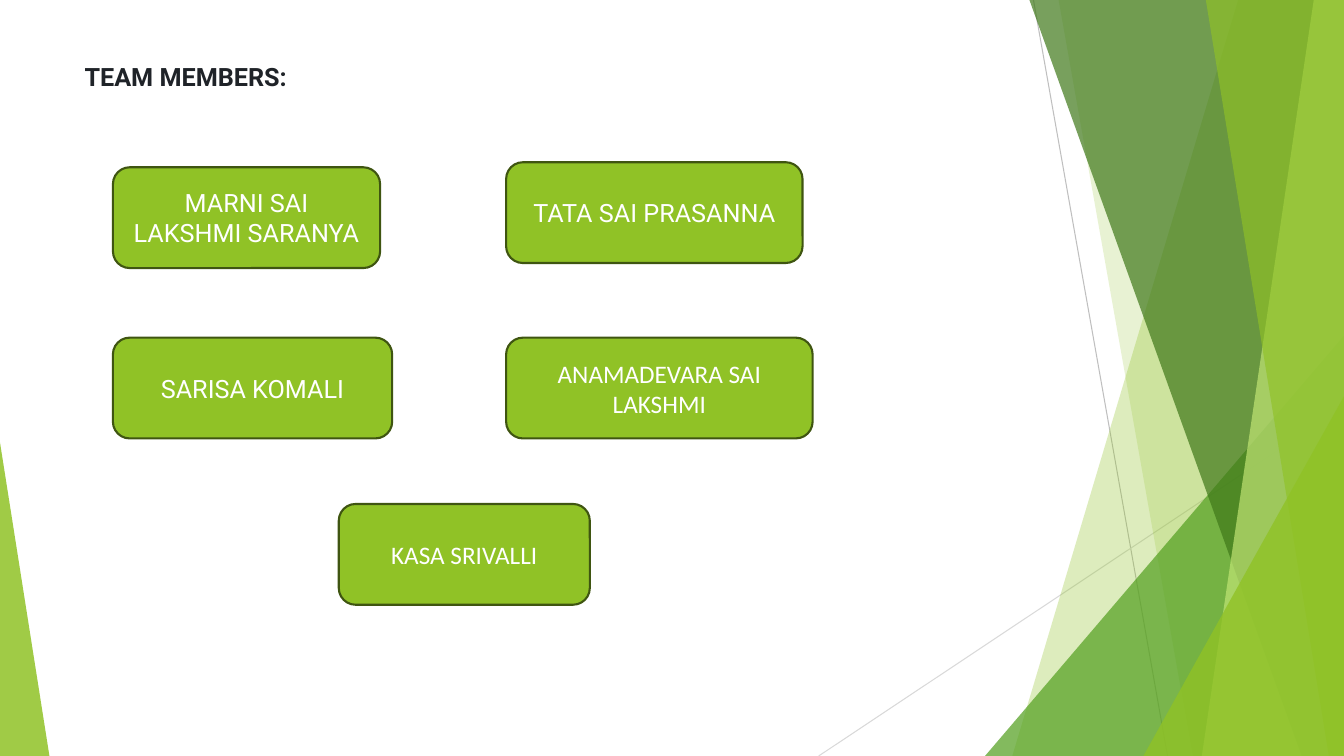
"""Build the team members slide with its faceted green border."""
from lxml import etree
from pptx import Presentation
from pptx.dml.color import RGBColor
from pptx.enum.shapes import MSO_CONNECTOR, MSO_SHAPE
from pptx.enum.text import MSO_ANCHOR, PP_ALIGN
from pptx.oxml.ns import qn
from pptx.util import Inches, Pt

STRAIGHT = MSO_CONNECTOR.STRAIGHT
ROUNDED = MSO_SHAPE.ROUNDED_RECTANGLE
MIDDLE = MSO_ANCHOR.MIDDLE
CENTER = PP_ALIGN.CENTER

WIDTH, HEIGHT = 13.33, 7.5
GREEN, DARK_GREEN, WHITE, INK = "90C226", "3F5511", "FFFFFF", "1F2328"

RAYS = [
    ((10.25, 0), (11.58, HEIGHT), "BFBFBF"),
    ((WIDTH, 4.03), (8.12, HEIGHT), "D9D9D9"),
]


def right_band(top_x, bottom_x):
    """Return the corners of a band that reaches the right edge."""
    return [(top_x, 0), (WIDTH, 0), (WIDTH, HEIGHT), (bottom_x, HEIGHT)]


def corner(edge_x, top, bottom_x):
    """Return the corners of a triangle standing in a bottom corner."""
    return [(edge_x, top), (edge_x, HEIGHT), (bottom_x, HEIGHT)]


FACETS = [
    (right_band(12.28, 10.04), GREEN, 30),
    (right_band(10.5, 11.83), GREEN, 20),
    (corner(WIDTH, 3.33, 9.77), "54A021", 72),
    (right_band(10.21, 12.91), "3F7819", 70),
    (right_band(13.03, 11.92), "C0E474", 70),
    (right_band(11.96, 13.18), GREEN, 65),
    (corner(WIDTH, 3.93, 11.34), GREEN, 80),
    (corner(0, 4.39, 0.49), GREEN, 85),
]

MEMBERS = [
    ("MARNI SAI LAKSHMI SARANYA", 1.12, 1.66, 2.65, "Roboto"),
    ("SARISA KOMALI", 1.12, 3.35, 2.77, "Roboto"),
    ("TATA SAI PRASANNA", 5.02, 1.61, 2.94, "Roboto"),
    ("ANAMADEVARA SAI LAKSHMI", 5.02, 3.35, 3.04, "Calibri"),
    ("KASA SRIVALLI", 3.36, 5, 2.49, "Calibri"),
]


def color(value):
    """Turn a hex string into a colour."""
    return RGBColor.from_string(value)


def add_ray(page, start, end, tint):
    """Draw a thin straight line without a shadow."""
    ray = page.shapes.add_connector(STRAIGHT, *map(Inches, start + end))
    ray.line.color.rgb = color(tint)
    ray.line.width = Pt(0.75)
    etree.SubElement(ray._element.spPr, qn("a:effectLst"))


def add_facet(page, corners, tint, opacity):
    """Draw a translucent polygon without an outline."""
    points = [(Inches(x), Inches(y)) for x, y in corners]
    builder = page.shapes.build_freeform(*points[0])
    builder.add_line_segments(points[1:], close=True)
    facet = builder.convert_to_shape()
    facet.shadow.inherit = False
    facet.fill.solid()
    facet.fill.fore_color.rgb = color(tint)
    facet.line.fill.background()
    tint_element = facet._element.spPr.find(qn("a:solidFill"))[0]
    etree.SubElement(tint_element, qn("a:alpha"), val=str(opacity * 1000))


def add_span(para, text, font, tint, bold=False):
    """Add one 18 point run to a paragraph."""
    span = para.add_run()
    span.text = text
    span.font.name = font
    span.font.size = Pt(18)
    span.font.bold = bold
    span.font.color.rgb = color(tint)


def add_heading(page, text):
    """Add the bold heading at the top left."""
    box = page.shapes.add_textbox(
        Inches(0.74), Inches(0.56), Inches(6.67), Inches(0.4))
    box.text_frame.word_wrap = True
    add_span(box.text_frame.paragraphs[0], text, "Roboto", INK, bold=True)


def add_member(page, name, left, top, width, font):
    """Add a rounded box with a centred member name."""
    box = page.shapes.add_shape(
        ROUNDED, Inches(left), Inches(top), Inches(width), Inches(1))
    box.shadow.inherit = False
    box.fill.solid()
    box.fill.fore_color.rgb = color(GREEN)
    box.line.color.rgb = color(DARK_GREEN)
    box.line.width = Pt(1.5)
    box.text_frame.word_wrap = True
    box.text_frame.vertical_anchor = MIDDLE
    para = box.text_frame.paragraphs[0]
    para.alignment = CENTER
    add_span(para, name, font, WHITE)


def main():
    """Build and save the slide."""
    deck = Presentation()
    deck.slide_width, deck.slide_height = Inches(WIDTH), Inches(HEIGHT)
    page = deck.slides.add_slide(deck.slide_layouts[6])
    for ray in RAYS:
        add_ray(page, *ray)
    for facet in FACETS:
        add_facet(page, *facet)
    add_heading(page, "TEAM MEMBERS:")
    for member in MEMBERS:
        add_member(page, *member)
    deck.save("out.pptx")


if __name__ == "__main__":
    main()
